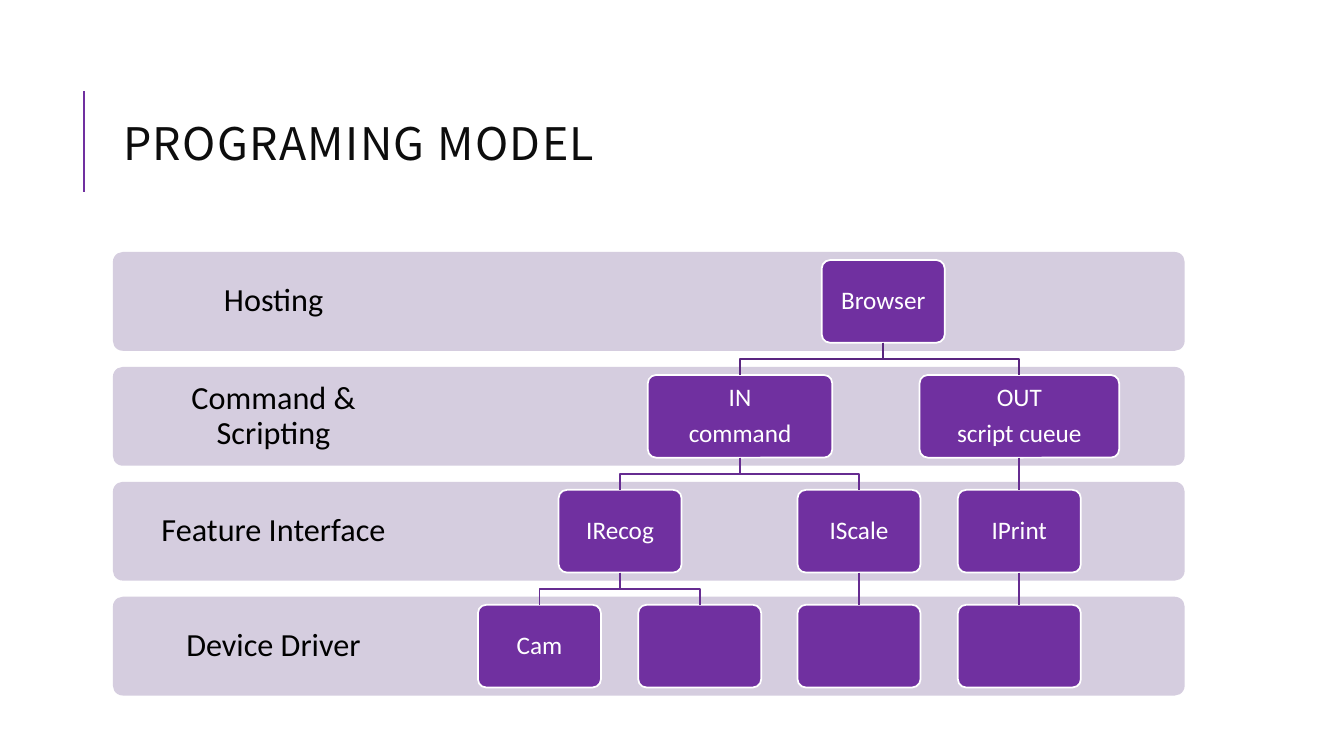
from dataclasses import dataclass

from lxml import etree
from pptx import Presentation
from pptx.dml.color import RGBColor
from pptx.enum import shapes, text
from pptx.oxml import ns
from pptx.util import Inches, Pt

COLORS = {
    "purple": "7030A0",
    "band": "D5CDDF",
    "root_link": "5A2680",
    "link": "662C91",
    "title": "0D0D0D",
    "black": "000000",
    "white": "FFFFFF",
}
LAYER_TOP, LAYER_PITCH, LAYER_HEIGHT = 2.5, 1.14, 0.98
LAYER_LEFT, LAYER_WIDTH, LABEL_WIDTH = 1.12, 10.63, 3.19
NODE_OFFSET, NODE_HEIGHT = 0.08, 0.82
LAYERS = ["Hosting", "Command & Scripting", "Feature Interface", "Device Driver"]


@dataclass(frozen=True)
class Node:
    key: str
    layer: int
    center: float
    lines: tuple[str, ...] = ()
    parent: str = ""
    width: float = 1.22


NODES = [
    Node("browser", 0, 8.76, ("Browser",)),
    Node("in", 1, 7.34, ("IN", "command"), "browser", 1.83),
    Node("out", 1, 10.11, ("OUT", "script cueue"), "browser", 1.98),
    Node("recog", 2, 6.15, ("IRecog",), "in"),
    Node("scale", 2, 8.52, ("IScale",), "in"),
    Node("print", 2, 10.11, ("IPrint",), "out"),
    Node("camera", 3, 5.35, ("Cam",), "recog"),
    Node("recog_driver", 3, 6.94, (), "recog"),
    Node("scale_driver", 3, 8.52, (), "scale"),
    Node("print_driver", 3, 10.11, (), "print"),
]


def rgb(name: str) -> RGBColor:
    return RGBColor.from_string(COLORS[name])


def set_line(item, color: str, width: float) -> None:
    item.line.color.rgb = rgb(color)
    item.line.width = Pt(width)


def add_connector(page, x1: float, y1: float, x2: float, y2: float, color: str, width: float):
    connector = page.shapes.add_connector(
        shapes.MSO_CONNECTOR.STRAIGHT, Inches(x1), Inches(y1), Inches(x2), Inches(y2)
    )
    set_line(connector, color, width)
    etree.SubElement(connector._element.spPr, ns.qn("a:effectLst"))
    return connector


def add_rounded(page, left: float, top: float, width: float, height: float, fill: str):
    box = page.shapes.add_shape(
        shapes.MSO_SHAPE.ROUNDED_RECTANGLE,
        Inches(left), Inches(top), Inches(width), Inches(height),
    )
    box.adjustments[0] = 0.1
    box.shadow.inherit = False
    box.fill.solid()
    box.fill.fore_color.rgb = rgb(fill)
    box.line.fill.background()
    return box


def write(box, lines: tuple[str, ...], size: float, color: str, inset: float, right: float) -> None:
    frame = box.text_frame
    frame.word_wrap = True
    frame.vertical_anchor = text.MSO_ANCHOR.MIDDLE
    frame.margin_left = frame.margin_top = frame.margin_bottom = Inches(inset)
    frame.margin_right = Inches(right)
    frame.text = "\n".join(lines)
    for para in frame.paragraphs:
        para.alignment = text.PP_ALIGN.CENTER
        para.line_spacing = 0.9
        para.space_after = Pt(round(size * 0.35))
        para.font.name = "Calibri"
        para.font.size = Pt(size)
        para.font.color.rgb = rgb(color)


def add_title(page) -> None:
    add_connector(page, 0.83, 1.9, 0.83, 0.9, "purple", 1.5)
    title = page.shapes.title
    title.left, title.top = Inches(1.12), Inches(0.64)
    title.width, title.height = Inches(10.63), Inches(1.64)
    frame = title.text_frame
    frame.text = "PROGRAMING MODEL"
    frame.auto_size = text.MSO_AUTO_SIZE.NONE
    frame.vertical_anchor = text.MSO_ANCHOR.MIDDLE
    para = frame.paragraphs[0]
    para.alignment = text.PP_ALIGN.LEFT
    para.line_spacing = 0.8
    para.font.name = "Noto Sans CJK SC"
    para.font.size = Pt(32)
    para.font.color.rgb = rgb("title")
    para.runs[0].font._element.set("spc", "100")


def add_layer(page, index: int, label: str) -> None:
    top = LAYER_TOP + index * LAYER_PITCH
    band = add_rounded(page, LAYER_LEFT, top, LAYER_WIDTH, LAYER_HEIGHT, "band")
    write(band, (label,), 23, "black", 0.18, LAYER_WIDTH - LABEL_WIDTH + 0.18)


def node_top(node: Node) -> float:
    return LAYER_TOP + node.layer * LAYER_PITCH + NODE_OFFSET


def add_node(page, node: Node):
    left = node.center - node.width / 2
    box = add_rounded(page, left, node_top(node), node.width, NODE_HEIGHT, "purple")
    set_line(box, "white", 1.25)
    if node.lines:
        write(box, node.lines, 18, "white", 0.09, 0.09)
    return box


def add_link(page, parent: Node, child: Node, boxes: dict) -> None:
    color = "link" if parent.parent else "root_link"
    start, end = node_top(parent) + NODE_HEIGHT, node_top(child)
    if parent.center == child.center:
        link = add_connector(page, parent.center, start, child.center, end, color, 1.25)
        link.begin_connect(boxes[parent.key], 2)
        link.end_connect(boxes[child.key], 0)
        return
    middle = (start + end) / 2
    builder = page.shapes.build_freeform(Inches(parent.center), Inches(start))
    corners = [(parent.center, middle), (child.center, middle), (child.center, end)]
    builder.add_line_segments([(Inches(x), Inches(y)) for x, y in corners], close=False)
    link = builder.convert_to_shape()
    link.shadow.inherit = False
    link.fill.background()
    set_line(link, color, 1.25)


def main() -> None:
    deck = Presentation()
    deck.slide_width, deck.slide_height = Inches(13.33), Inches(7.5)
    page = deck.slides.add_slide(deck.slide_layouts[5])
    add_title(page)
    for index, label in enumerate(LAYERS):
        add_layer(page, index, label)
    boxes = {node.key: add_node(page, node) for node in NODES}
    nodes = {node.key: node for node in NODES}
    for node in NODES:
        if node.parent:
            add_link(page, nodes[node.parent], node, boxes)
    deck.save("out.pptx")


if __name__ == "__main__":
    main()
